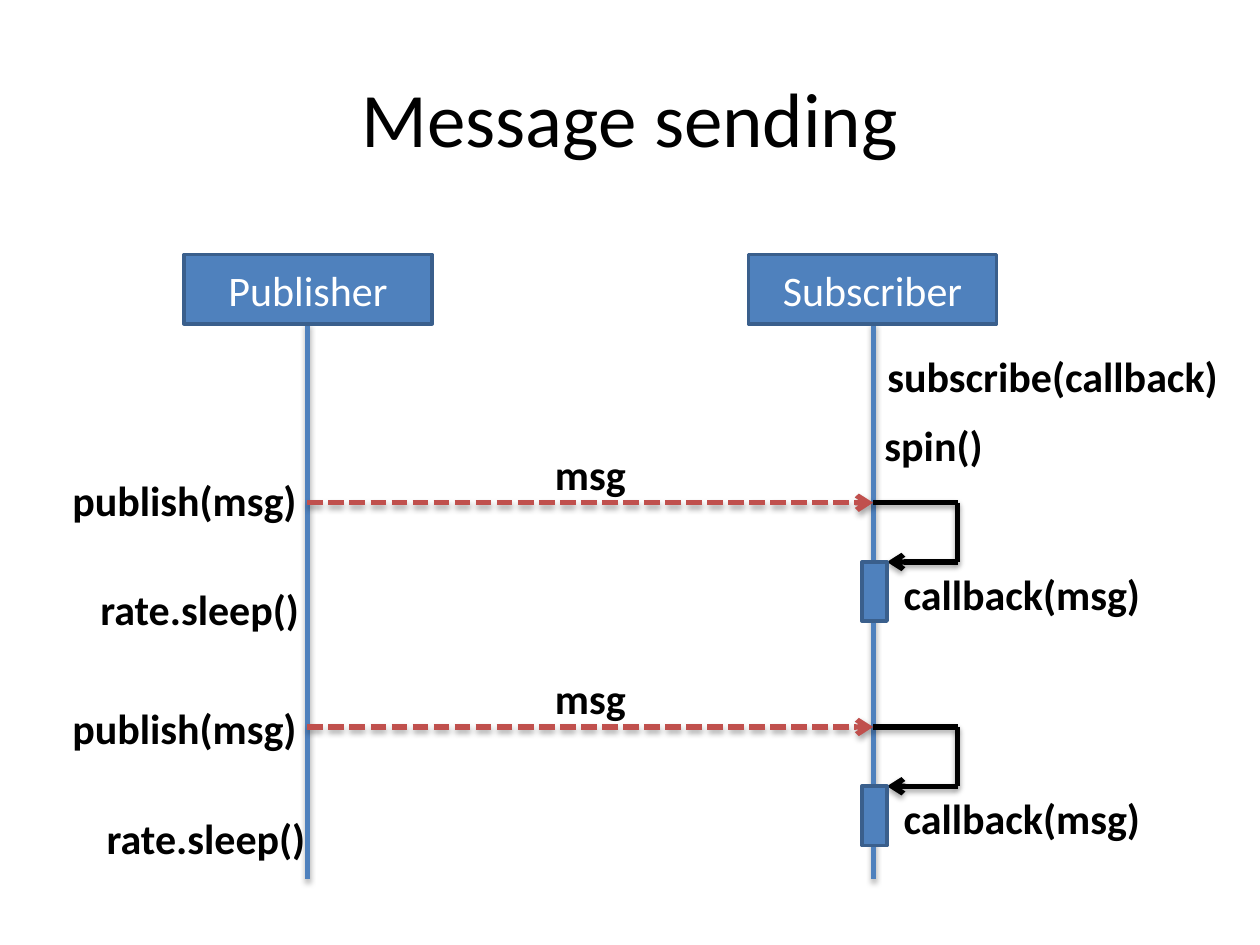
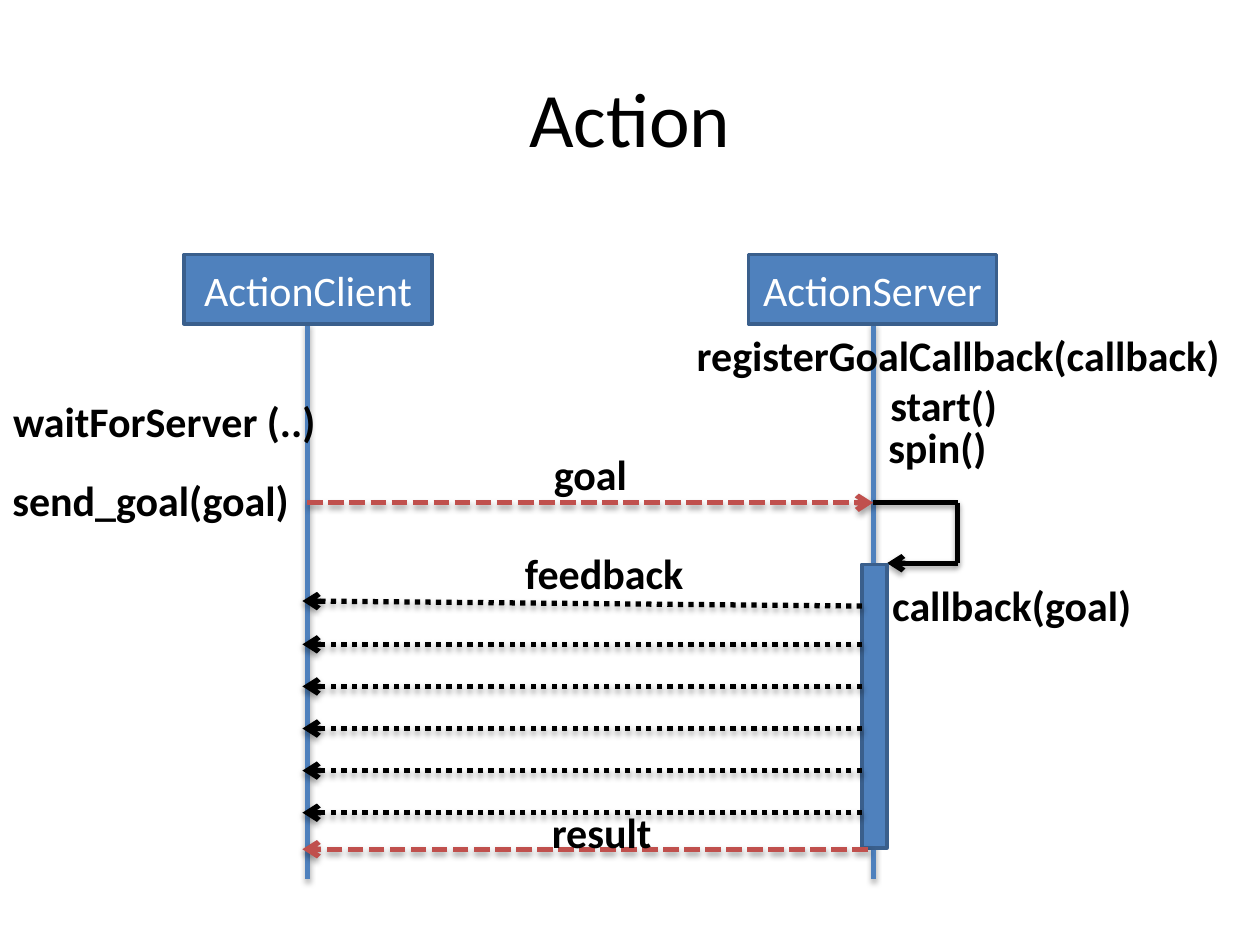
from collections import namedtuple
from lxml import etree
from pptx import Presentation
from pptx.dml.color import RGBColor
from pptx.enum.dml import MSO_LINE
from pptx.enum.shapes import MSO_CONNECTOR, MSO_SHAPE
from pptx.enum.text import MSO_ANCHOR, MSO_AUTO_SIZE, PP_ALIGN
from pptx.oxml import parse_xml
from pptx.oxml.ns import qn
from pptx.util import Inches, Pt

COLORS = {
    "blue": "4F81BD",
    "edge": "3A5F8C",
    "red": "C0504D",
    "black": "000000",
    "white": "FFFFFF",
}
FONT = "Calibri"
SHADOW = (
    '<a:effectLst xmlns:a="http://schemas.openxmlformats.org/drawingml/2006/main">'
    '<a:outerShdw blurRad="40000" dist="23000" dir="5400000" rotWithShape="0">'
    '<a:srgbClr val="000000"><a:alpha val="35000"/></a:srgbClr>'
    '</a:outerShdw></a:effectLst>'
)
Box = namedtuple("Box", "left top width height")
DIAGRAM = Box(1.46, 2.02, 6.45, 4.96)
HEAD_WIDTH, HEAD_HEIGHT = 1.97, 0.55
SENDER, RECEIVER = 2.44, 6.93
BAR_WIDTH, LOOP_WIDTH, LOOP_HEIGHT = 0.2, 0.67, 0.47
BAR_LEFT = 6.84
LABEL_HEIGHT = 0.5


def color(name):
    return RGBColor.from_string(COLORS[name])


def emus(box):
    return [Inches(value) for value in box]


def write(frame, text, size, ink, bold=False):
    para = frame.paragraphs[0]
    para.alignment = PP_ALIGN.CENTER
    span = para.add_run()
    span.text = text
    span.font.name = FONT
    span.font.size = Pt(size)
    span.font.bold = bold
    span.font.color.rgb = color(ink)


def add_title(page, box, text):
    title = page.shapes.title
    title.left, title.top, title.width, title.height = emus(box)
    title.text_frame.vertical_anchor = MSO_ANCHOR.MIDDLE
    write(title.text_frame, text, 44, "black")


def add_label(shapes, box, text):
    label = shapes.add_textbox(*emus(box))
    label.text_frame.word_wrap = False
    label.text_frame.auto_size = MSO_AUTO_SIZE.SHAPE_TO_FIT_TEXT
    write(label.text_frame, text, 24, "black", True)


def add_block(shapes, box, text=None):
    block = shapes.add_shape(MSO_SHAPE.RECTANGLE, *emus(box))
    block.shadow.inherit = False
    block.fill.solid()
    block.fill.fore_color.rgb = color("blue")
    block.line.color.rgb = color("edge")
    block.line.width = Pt(2)
    if text:
        block.text_frame.vertical_anchor = MSO_ANCHOR.MIDDLE
        write(block.text_frame, text, 24, "white")


def add_line(shapes, start, end, ink, dash=None, arrow=False):
    line = shapes.add_connector(MSO_CONNECTOR.STRAIGHT, *emus(start + end))
    line.line.color.rgb = color(ink)
    line.line.width = Pt(3)
    if dash:
        line.line.dash_style = dash
    if arrow:
        outline = line.line._get_or_add_ln()
        etree.SubElement(outline, qn("a:tailEnd"), type="arrow")
    line._element.spPr.append(parse_xml(SHADOW))


def add_lifelines(shapes, box, names):
    lefts = (box.left, box.left + box.width - HEAD_WIDTH)
    for x, left, name in zip((SENDER, RECEIVER), lefts, names):
        foot = box.top + box.height
        add_line(shapes, (x, box.top + HEAD_HEIGHT), (x, foot), "blue")
        add_block(shapes, Box(left, box.top, HEAD_WIDTH, HEAD_HEIGHT), name)


def add_request(shapes, y, text):
    add_line(shapes, (SENDER, y), (RECEIVER, y), "red", MSO_LINE.SQUARE_DOT, True)
    add_label(shapes, Box(4.29, y - 0.48, 0.79, LABEL_HEIGHT), text)


def add_loop(shapes, box):
    right, bottom = box.left + box.width, box.top + box.height
    add_line(shapes, (box.left, box.top), (right, box.top), "black")
    add_line(shapes, (right, box.top), (right, bottom), "black")
    add_line(shapes, (right, bottom), (BAR_LEFT + BAR_WIDTH, bottom), "black", arrow=True)


def add_message(page, y):
    shapes = page.shapes.add_group_shape().shapes
    bar_top = y + LOOP_HEIGHT
    add_request(shapes, y, "msg")
    add_loop(shapes, Box(RECEIVER, y, LOOP_WIDTH, LOOP_HEIGHT))
    add_block(shapes, Box(BAR_LEFT, bar_top, BAR_WIDTH, LOOP_HEIGHT))
    add_label(shapes, Box(6.97, bar_top, 2.28, LABEL_HEIGHT), "callback(msg)")


def add_feedback(shapes, box, rows):
    right = box.left + box.width
    for row in range(rows):
        y = box.top + row * box.height / (rows - 1)
        tip = y if row else y - 0.01
        start = y if row else y + 0.03
        add_line(shapes, (right, start), (box.left, tip), "black", MSO_LINE.ROUND_DOT, True)


def add_labels(shapes, labels):
    for left, top, width, text in labels:
        add_label(shapes, Box(left, top, width, LABEL_HEIGHT), text)


def start_page(deck, title, names):
    page = deck.slides.add_slide(deck.slide_layouts[5])
    add_title(page, Box(0.5, 0.3, 9, 1.25), title)
    add_lifelines(page.shapes, DIAGRAM, names)
    return page


def build_message_page(deck):
    page = start_page(deck, "Message sending", ("Publisher", "Subscriber"))
    for y in (3.99, 5.77):
        add_message(page, y)
    add_labels(page.shapes, [
        (6.89, 3.28, 1.04, "spin()"),
        (0.69, 4.58, 1.79, "rate.sleep()"),
        (0.74, 6.4, 1.79, "rate.sleep()"),
        (0.38, 3.72, 2.17, "publish(msg)"),
        (0.38, 5.53, 2.17, "publish(msg)"),
        (6.86, 2.73, 2.99, "subscribe(callback)"),
    ])


def build_action_page(deck):
    page = start_page(deck, "Action", ("ActionClient", "ActionServer"))
    shapes = page.shapes
    add_request(shapes, 3.99, "goal")
    loop = shapes.add_group_shape().shapes
    add_loop(loop, Box(RECEIVER, 3.99, LOOP_WIDTH, 0.48))
    add_block(shapes, Box(BAR_LEFT, 4.48, BAR_WIDTH, 2.25))
    add_line(shapes, (6.89, 6.74), (2.4, 6.74), "red", MSO_LINE.SQUARE_DOT, True)
    add_feedback(shapes, Box(2.4, 4.78, 4.44, 1.67), 6)
    add_labels(shapes, [
        (6.92, 3.3, 1.04, "spin()"),
        (6.89, 4.55, 2.28, "callback(goal)"),
        (-0.01, 3.72, 2.41, "send_goal(goal)"),
        (6.94, 2.96, 1.1, "start()"),
        (4, 6.35, 1.55, "result"),
        (4.02, 4.3, 1.55, "feedback"),
        (0, 3.09, 2.61, "waitForServer (..)"),
        (5.3, 2.57, 4.61, "registerGoalCallback(callback)"),
    ])


deck = Presentation()
deck.slide_width, deck.slide_height = Inches(10), Inches(7.5)
build_message_page(deck)
build_action_page(deck)
deck.save("out.pptx")
